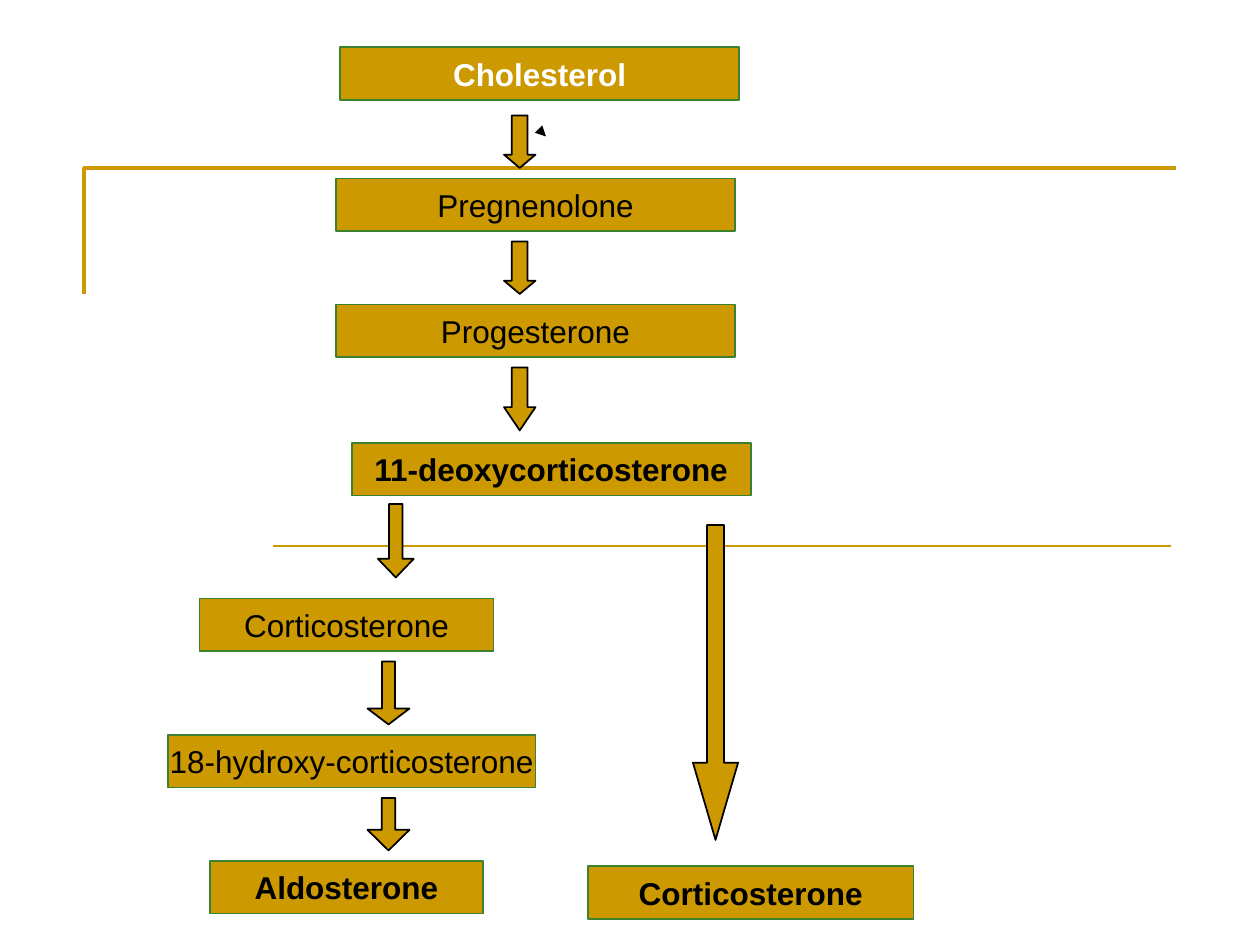
from lxml import etree
from pptx import Presentation
from pptx.dml.color import RGBColor
from pptx.enum.shapes import MSO_CONNECTOR, MSO_SHAPE
from pptx.enum.text import MSO_ANCHOR, PP_ALIGN
from pptx.oxml.ns import qn
from pptx.util import Emu, Pt

RECTANGLE = MSO_SHAPE.RECTANGLE
DOWN_ARROW = MSO_SHAPE.DOWN_ARROW
STRAIGHT = MSO_CONNECTOR.STRAIGHT
MIDDLE = MSO_ANCHOR.MIDDLE
CENTER = PP_ALIGN.CENTER

SCALE = 7620
GOLD, GREEN, BLACK, WHITE = "CC9900", "3B812F", "000000", "FFFFFF"
BOX_HEIGHT = 50

HORMONES = [
    ("Cholesterol", 324, 45, 380, True, WHITE),
    ("Pregnenolone", 320, 170, 380, False, BLACK),
    ("Progesterone", 320, 290, 380, False, BLACK),
    ("11-deoxycorticosterone", 335, 422, 380, True, BLACK),
    ("Corticosterone", 190, 570, 280, False, BLACK),
    ("18-hydroxy-corticosterone", 160, 700, 350, False, BLACK),
    ("Aldosterone", 200, 820, 260, True, BLACK),
    ("Corticosterone", 560, 825, 310, True, BLACK),
]
STEPS = [
    (480, 110, 30, 50, 0.5, 0.42),
    (480, 230, 30, 50, 0.5, 0.42),
    (480, 350, 30, 60, 0.5, 0.74),
    (360, 480, 34, 70, 0.38, 0.52),
    (350, 630, 40, 60, 0.31, 0.38),
    (350, 760, 40, 50, 0.32, 0.49),
    (660, 500, 43, 300, 0.38, 1.71),
]


def px(length):
    return Emu(length * SCALE)


def color(code):
    return RGBColor.from_string(code)


def apply(target, values):
    for key, value in values.items():
        setattr(target, key, value)


class PathwaySlide:
    font = {"name": "Arial", "size": Pt(18)}
    frame = {"word_wrap": False, "vertical_anchor": MIDDLE}

    def __init__(self, slide):
        self.shapes = slide.shapes

    def outline(self, shape, code, width):
        shape.line.color.rgb = color(code)
        shape.line.width = Pt(width)

    def block(self, kind, bounds, border):
        shape = self.shapes.add_shape(kind, *map(px, bounds))
        shape.shadow.inherit = False
        shape.fill.solid()
        shape.fill.fore_color.rgb = color(GOLD)
        self.outline(shape, border, 1)
        return shape

    def hormone(self, label, left, top, width, bold, ink):
        box = self.block(RECTANGLE, (left, top, width, BOX_HEIGHT), GREEN)
        apply(box.text_frame, self.frame)
        paragraph = box.text_frame.paragraphs[0]
        paragraph.alignment = CENTER
        run = paragraph.add_run()
        run.text = label
        apply(run.font, {**self.font, "bold": bold})
        run.font.color.rgb = color(ink)

    def step(self, left, top, width, height, shaft, head):
        arrow = self.block(DOWN_ARROW, (left, top, width, height), BLACK)
        arrow.adjustments[0] = shaft
        arrow.adjustments[1] = head

    def rule(self, start, end, code, width, arrowhead=False):
        line = self.shapes.add_connector(STRAIGHT, *map(px, start + end))
        self.outline(line, code, width)
        if arrowhead:
            tail = etree.SubElement(line.line._get_or_add_ln(), qn("a:tailEnd"))
            tail.set("type", "triangle")
        etree.SubElement(line._element.spPr, qn("a:effectLst"))

    def corner(self, points, code, width):
        builder = self.shapes.build_freeform(*points[0], scale=SCALE)
        builder.add_line_segments(points[1:], close=False)
        bracket = builder.convert_to_shape()
        bracket.shadow.inherit = False
        bracket.fill.background()
        self.outline(bracket, code, width)


def main():
    deck = Presentation()
    deck.slide_width, deck.slide_height = px(1200), px(900)
    pathway = PathwaySlide(deck.slides.add_slide(deck.slide_layouts[6]))
    pathway.corner([(80, 280), (80, 160), (1120, 160)], GOLD, 2)
    pathway.rule((260, 520), (1115, 520), GOLD, 1.5)
    for hormone in HORMONES:
        pathway.hormone(*hormone)
    pathway.rule((519, 129), (520, 130), BLACK, 1, arrowhead=True)
    for step in STEPS:
        pathway.step(*step)
    deck.save("out.pptx")


if __name__ == "__main__":
    main()
